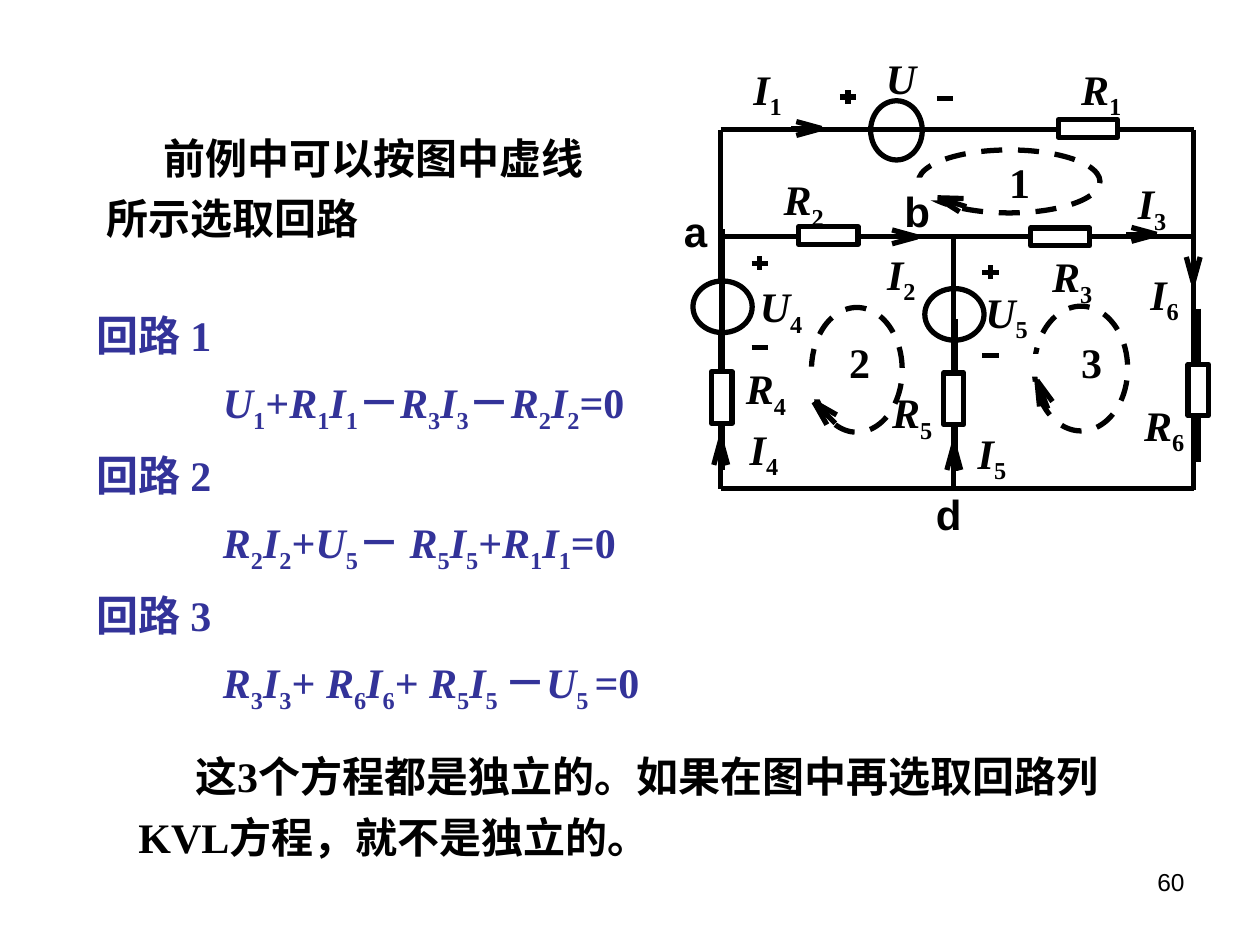
from dataclasses import dataclass
from itertools import groupby
from math import cos, radians, sin

from lxml.etree import SubElement
from pptx import Presentation
from pptx.dml.color import RGBColor
from pptx.enum.dml import MSO_LINE
from pptx.enum.shapes import MSO_CONNECTOR, MSO_SHAPE
from pptx.enum.text import PP_ALIGN
from pptx.oxml.ns import qn
from pptx.util import Inches, Pt

COLORS = {"ink": "000000", "paper": "FFFFFF", "equation": "333399"}
SERIF, SANS = "Times New Roman", "Arial"
RECT, OVAL = MSO_SHAPE.RECTANGLE, MSO_SHAPE.OVAL
VARIABLES = "URI"  # letters set in italics
STROKE = Pt(3)


@dataclass
class Box:
    left: float
    top: float
    width: float
    height: float

    def lengths(self):
        return [Inches(v) for v in (self.left, self.top, self.width, self.height)]


@dataclass
class Label:
    text: str  # "_" puts the next digit below the line
    box: Box


@dataclass
class Style:
    font: str = SERIF
    size: int = 24
    bold: bool = True
    color: str = "ink"
    align: PP_ALIGN = PP_ALIGN.LEFT
    line_spacing: float = 1.0
    space_before: float = 0
    margin: bool = True


@dataclass
class Line:
    text: str
    left_indent: float = 0
    first_indent: float = 0


def color(name: str) -> RGBColor:
    return RGBColor.from_string(COLORS[name])


def add_run(paragraph, text: str, style: Style, italic=False, subscript=False) -> None:
    run = paragraph.add_run()
    run.text = text
    font = run.font
    font.name, font.size, font.bold = style.font, Pt(style.size), style.bold
    font.italic = italic
    font.color.rgb = color(style.color)
    if subscript:
        font._element.set("baseline", "-25000")


def add_formula(paragraph, text: str, style: Style) -> None:
    """Add runs: variables in italics, digits after "_" as subscripts."""
    for index, piece in enumerate(text.split("_")):
        if index:
            length = 2 if piece[1:2] == " " else 1
            add_run(paragraph, piece[:length], style, subscript=True)
            piece = piece[length:]
        for italic, letters in groupby(piece, lambda letter: letter in VARIABLES):
            add_run(paragraph, "".join(letters), style, italic=italic)


def add_text(slide, box: Box, lines: list[Line], style: Style) -> None:
    frame = slide.shapes.add_textbox(*box.lengths()).text_frame
    frame.word_wrap = True
    if not style.margin:
        frame.margin_left = frame.margin_right = frame.margin_top = frame.margin_bottom = 0
    for index, line in enumerate(lines):
        paragraph = frame.add_paragraph() if index else frame.paragraphs[0]
        paragraph.alignment = style.align
        paragraph.line_spacing = style.line_spacing
        if index:
            paragraph.space_before = Pt(style.space_before)
        properties = paragraph._p.get_or_add_pPr()
        properties.set("marL", str(Inches(line.left_indent)))
        properties.set("indent", str(Inches(line.first_indent)))
        add_formula(paragraph, line.text, style)


def add_line(slide, x1: float, y1: float, x2: float, y2: float) -> None:
    ends = [Inches(v) for v in (x1, y1, x2, y2)]
    line = slide.shapes.add_connector(MSO_CONNECTOR.STRAIGHT, *ends)
    line.line.color.rgb = color("ink")
    line.line.width = STROKE
    SubElement(line._element.spPr, qn("a:effectLst"))


def add_shape(slide, kind, box: Box, filled=True, outlined=True, dashed=False) -> None:
    shape = slide.shapes.add_shape(kind, *box.lengths())
    shape.shadow.inherit = False
    if filled:
        shape.fill.solid()
        shape.fill.fore_color.rgb = color("paper")
    else:
        shape.fill.background()
    if outlined:
        shape.line.color.rgb = color("ink")
        shape.line.width = STROKE
    else:
        shape.line.fill.background()
    if dashed:
        shape.line.dash_style = MSO_LINE.DASH


def add_arrow(slide, x: float, y: float, angle: float) -> None:
    """Three strokes trailing from the tip; angle is clockwise, towards the tail."""
    c, s = cos(radians(angle)), sin(radians(angle))
    for along, across in ((0.2, -0.055), (0.2, 0.055), (0.24, 0)):
        add_line(slide, x, y, x + along * c - across * s, y + along * s + across * c)


def add_sign(slide, x: float, y: float, positive: bool) -> None:
    add_line(slide, x - 0.065, y, x + 0.065, y)
    if positive:
        add_line(slide, x, y - 0.055, x, y + 0.055)


WIRES = [
    (5.72, 1.03, 9.48, 1.03), (5.72, 1.03, 5.72, 3.88), (9.47, 1.03, 9.47, 3.89),
    (5.72, 3.88, 9.48, 3.88), (5.72, 1.88, 9.48, 1.88), (7.57, 1.87, 7.57, 3.88),
]
SOURCES = [Box(6.91, 0.8, 0.41, 0.47), Box(7.34, 2.29, 0.47, 0.41), Box(5.5, 2.23, 0.47, 0.41)]
# Leads run through the sources and behind the resistors
LEADS = [
    (7.68, 1.88, 9.06, 1.88), (7.31, 1.88, 5.92, 1.88), (9.37, 1.03, 7.98, 1.03),
    (9.51, 2.45, 9.51, 3.67), (6.42, 1.03, 7.82, 1.03), (7.57, 1.89, 7.57, 3.11),
    (5.73, 1.82, 5.73, 3.04), (7.58, 2.53, 7.58, 3.74), (5.73, 2.52, 5.73, 3.73),
]
RESISTORS = [Box(x, y, 0.47, 0.14) for x, y in ((8.18, 1.81), (6.34, 1.8), (8.4, 0.95))]
RESISTORS += [Box(x, y, 0.16, 0.41) for x, y in ((9.43, 2.89), (7.49, 2.96), (5.65, 2.95))]
SIGNS = [
    (6.73, 0.77, True), (7.5, 0.78, False), (7.86, 2.16, True),
    (7.86, 2.82, False), (6.03, 2.09, True), (6.03, 2.76, False),
]
CURRENT_ARROWS = [
    (9.47, 2.24, 270), (5.72, 3.49, 90), (7.57, 3.53, 90),
    (6.52, 1.02, 180), (7.28, 1.88, 180), (9.18, 1.86, 180),
]
LOOPS = [Box(7.29, 1.19, 1.44, 0.5), Box(6.44, 2.44, 0.72, 0.99), Box(8.21, 2.43, 0.74, 0.99)]
LOOP_ARROWS = [(7.44, 1.57, 17), (8.23, 3.02, 69), (6.46, 3.19, 45)]
LOOP_GAPS = [Box(8.13, 2.81, 0.27, 0.18), Box(6.32, 2.91, 0.25, 0.26), Box(7.06, 1.41, 0.38, 0.18)]
VOLTAGE_LABELS = [
    Label("U", Box(7.03, 0.42, 0.32, 0.25)),
    Label("U_5", Box(7.82, 2.27, 0.66, 0.59)),
    Label("U_4", Box(6.03, 2.23, 0.55, 0.51)),
]
BRANCH_LABELS = [
    Label("R_1", Box(8.58, 0.5, 0.59, 0.59)), Label("R_2", Box(6.22, 1.38, 0.6, 0.59)),
    Label("R_3", Box(8.35, 1.99, 0.49, 0.59)), Label("R_4", Box(5.92, 2.88, 0.4, 0.53)),
    Label("R_5", Box(7.08, 3.07, 0.6, 0.53)), Label("R_6", Box(9.08, 3.17, 0.42, 0.53)),
    Label("I_1", Box(5.98, 0.5, 0.4, 0.28)), Label("I_2", Box(7.04, 1.97, 0.53, 0.53)),
    Label("I_3", Box(9.03, 1.41, 0.55, 0.53)), Label("I_5", Box(7.76, 3.39, 0.62, 0.53)),
    Label("I_4", Box(5.95, 3.36, 0.62, 0.53)), Label("I_6", Box(9.13, 2.13, 0.45, 0.32)),
    Label("1", Box(8.01, 1.24, 0.47, 0.59)), Label("2", Box(6.74, 2.67, 0.4, 0.48)),
    Label("3", Box(8.58, 2.67, 0.47, 0.59)),
]
NODES = [
    Label("a", Box(5.33, 1.58, 0.67, 0.5)),
    Label("d", Box(7.33, 3.83, 0.5, 0.5)),
    Label("b", Box(7.08, 1.42, 0.5, 0.5)),
]
EQUATIONS = [
    "U_1+R_1I_1－R_3I_3－R_2I_2=0",
    "R_2I_2+U_5－ R_5I_5+R_1I_1=0",
    "R_3I_3+ R_6I_6+ R_5I_5 －U_5 =0",
]


def draw_text(slide) -> None:
    body = Style(line_spacing=1.2)
    add_text(slide, Box(7.17, 6.83, 2.33, 0.52), [Line("60")],
             Style(SANS, 14, False, align=PP_ALIGN.RIGHT))
    add_text(slide, Box(0.75, 0.92, 4.25, 1.06),
             [Line("前例中可以按图中虚线所示选取回路", first_indent=0.45)], body)
    lines = []
    for number, equation in enumerate(EQUATIONS, start=1):
        lines += [Line(f"回路 {number}"), Line(equation, left_indent=1)]
    add_text(slide, Box(0.67, 2.33, 5.42, 3.18), lines,
             Style(color="equation", line_spacing=1.2, space_before=3))
    closing = "这3个方程都是独立的。如果在图中再选取回路列KVL方程，就不是独立的。"
    add_text(slide, Box(1, 5.83, 7.92, 1.06), [Line(closing, first_indent=0.45)], body)


def draw_labels(slide, labels: list[Label], style: Style) -> None:
    for label in labels:
        add_text(slide, label.box, [Line(label.text)], style)


def draw_circuit(slide) -> None:
    label_style = Style(align=PP_ALIGN.JUSTIFY, margin=False)
    draw_labels(slide, VOLTAGE_LABELS, label_style)
    # Wires and components
    for wire in WIRES:
        add_line(slide, *wire)
    for source in SOURCES:
        add_shape(slide, OVAL, source)
    for lead in LEADS:
        add_line(slide, *lead)
    for resistor in RESISTORS:
        add_shape(slide, RECT, resistor)
    for sign in SIGNS:
        add_sign(slide, *sign)
    for arrow in CURRENT_ARROWS:
        add_arrow(slide, *arrow)
    # Dashed loops, opened beside their arrowheads
    for loop in LOOPS:
        add_shape(slide, OVAL, loop, filled=False, dashed=True)
    draw_labels(slide, BRANCH_LABELS, label_style)
    for arrow in LOOP_ARROWS:
        add_arrow(slide, *arrow)
    for gap in LOOP_GAPS:
        add_shape(slide, RECT, gap, outlined=False)
    draw_labels(slide, NODES, Style(SANS))


def main() -> None:
    presentation = Presentation()
    presentation.slide_width, presentation.slide_height = Inches(10), Inches(7.5)
    slide = presentation.slides.add_slide(presentation.slide_layouts[6])
    draw_text(slide)
    draw_circuit(slide)
    presentation.save("out.pptx")


if __name__ == "__main__":
    main()
